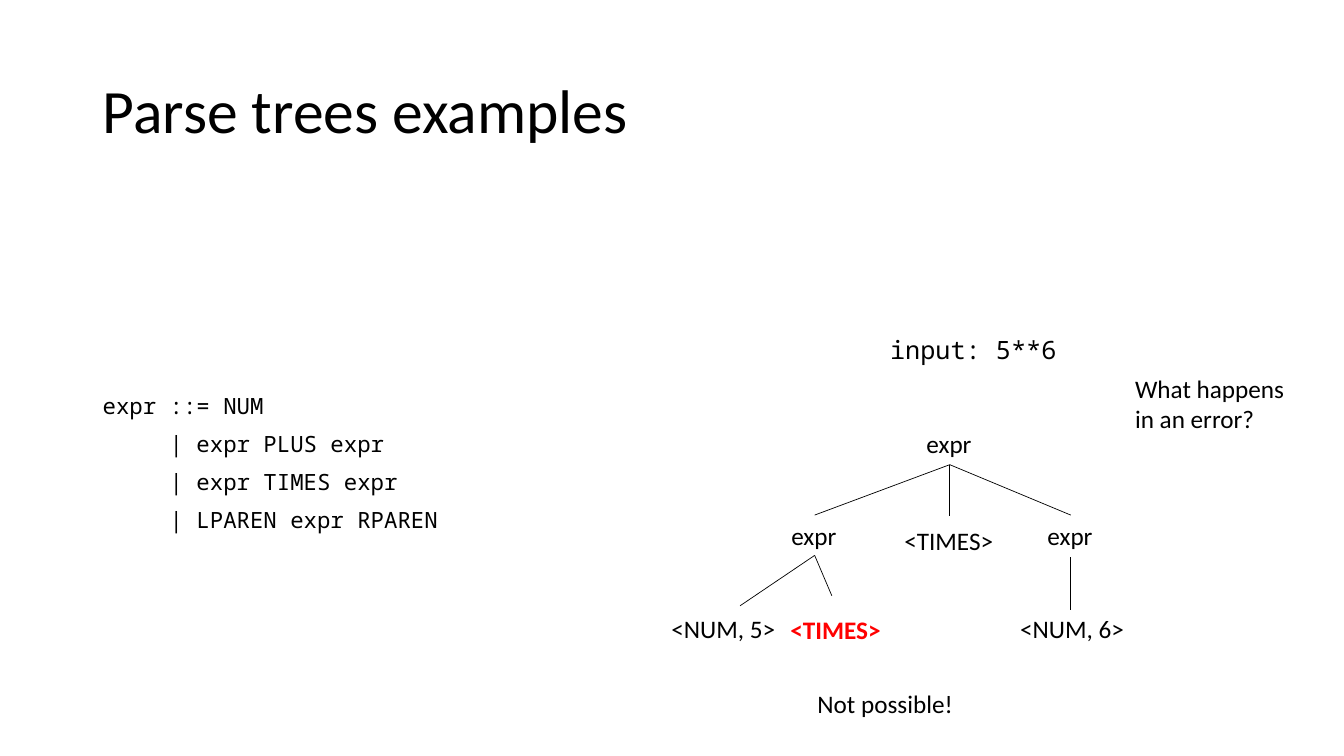
"""Build the slide with a parse tree for an erroneous input."""
from lxml import etree
from pptx import Presentation
from pptx.dml.color import RGBColor
from pptx.enum.shapes import MSO_CONNECTOR
from pptx.enum.text import MSO_ANCHOR, MSO_AUTO_SIZE, PP_ALIGN
from pptx.oxml.ns import qn
from pptx.util import Inches, Pt

STRAIGHT = MSO_CONNECTOR.STRAIGHT
MIDDLE = MSO_ANCHOR.MIDDLE
LEFT = PP_ALIGN.LEFT
GROW = MSO_AUTO_SIZE.SHAPE_TO_FIT_TEXT
FIXED = MSO_AUTO_SIZE.NONE

COLORS = {"text": "000000", "error": "FF0000"}
SANS, MONO = "Calibri", "Noto Sans Mono"

TITLE = "Parse trees examples"
GRAMMAR = [
    "expr ::= NUM",
    "     | expr PLUS expr",
    "     | expr TIMES expr",
    "     | LPAREN expr RPAREN",
]
INPUT = ("input: 5**6", (8.73, 3.27, 1.86, 0.4))
NOTES = [
    ("Not possible!", (8.01, 6.78, 1.56, 0.4)),
    ("What happens\nin an error?", (11.16, 3.65, 1.7, 0.71)),
]

NODE_HEIGHT = 0.4
NODES = [
    ("expr", 9.09, 4.2, 0.65),
    ("expr", 7.75, 5.11, 0.65),
    ("<TIMES>", 8.87, 5.16, 1.09),
    ("expr", 10.29, 5.11, 0.65),
    ("<NUM, 5>", 6.56, 6.04, 1.24),
    ("<NUM, 6>", 10.02, 6.04, 1.24),
]
ERROR_NODE = ("<TIMES>", 7.74, 6.05, 1.11)
BRANCHES = {
    (9.42, 4.61): [(8.08, 5.11), (9.42, 5.12), (10.62, 5.11)],
    (8.08, 5.51): [(7.34, 6.01), (8.25, 5.91)],
    (10.62, 5.53): [(10.62, 6.05)],
}


def style(frame, size, font=SANS, color="text", bold=False):
    for paragraph in frame.paragraphs:
        paragraph.alignment = LEFT
        for run in paragraph.runs:
            run.font.name = font
            run.font.size = Pt(size)
            run.font.bold = bold
            run.font.color.rgb = RGBColor.from_string(COLORS[color])


def add_label(slide, text, box, size=18, wrap=False, **look):
    frame = slide.shapes.add_textbox(*map(Inches, box)).text_frame
    frame.text = text
    frame.word_wrap = wrap
    frame.auto_size = FIXED if wrap else GROW
    style(frame, size, **look)
    return frame


def add_branch(slide, parent, child):
    branch = slide.shapes.add_connector(STRAIGHT, *map(Inches, parent + child))
    branch.line.color.rgb = RGBColor.from_string(COLORS["text"])
    branch.line.width = Pt(0.5)
    etree.SubElement(branch._element.spPr, qn("a:effectLst"))


def add_title(slide):
    title = slide.shapes.title
    title.left, title.top = Inches(0.92), Inches(0.4)
    title.width, title.height = Inches(11.5), Inches(1.45)
    frame = title.text_frame
    frame.text = TITLE
    frame.vertical_anchor = MIDDLE
    frame.paragraphs[0].line_spacing = 0.9
    style(frame, 44)


def add_grammar(slide):
    frame = add_label(slide, "\n".join(GRAMMAR), (0.92, 3.87, 4.12, 1.73),
                      size=16, wrap=True, font=MONO)
    for index, rule in enumerate(frame.paragraphs):
        rule.line_spacing = 0.9
        rule.space_before = Pt(10 if index else 0)


def add_tree(slide):
    for parent, children in BRANCHES.items():
        for child in children:
            add_branch(slide, parent, child)
    for text, *place in NODES:
        add_label(slide, text, (*place, NODE_HEIGHT))
    text, *place = ERROR_NODE
    add_label(slide, text, (*place, NODE_HEIGHT), color="error", bold=True)


def main():
    deck = Presentation()
    deck.slide_width, deck.slide_height = Inches(13.33), Inches(7.5)
    slide = deck.slides.add_slide(deck.slide_layouts[5])
    add_title(slide)
    add_grammar(slide)
    add_label(slide, *INPUT, font=MONO)
    add_tree(slide)
    for text, box in NOTES:
        add_label(slide, text, box)
    deck.save("out.pptx")


if __name__ == "__main__":
    main()
